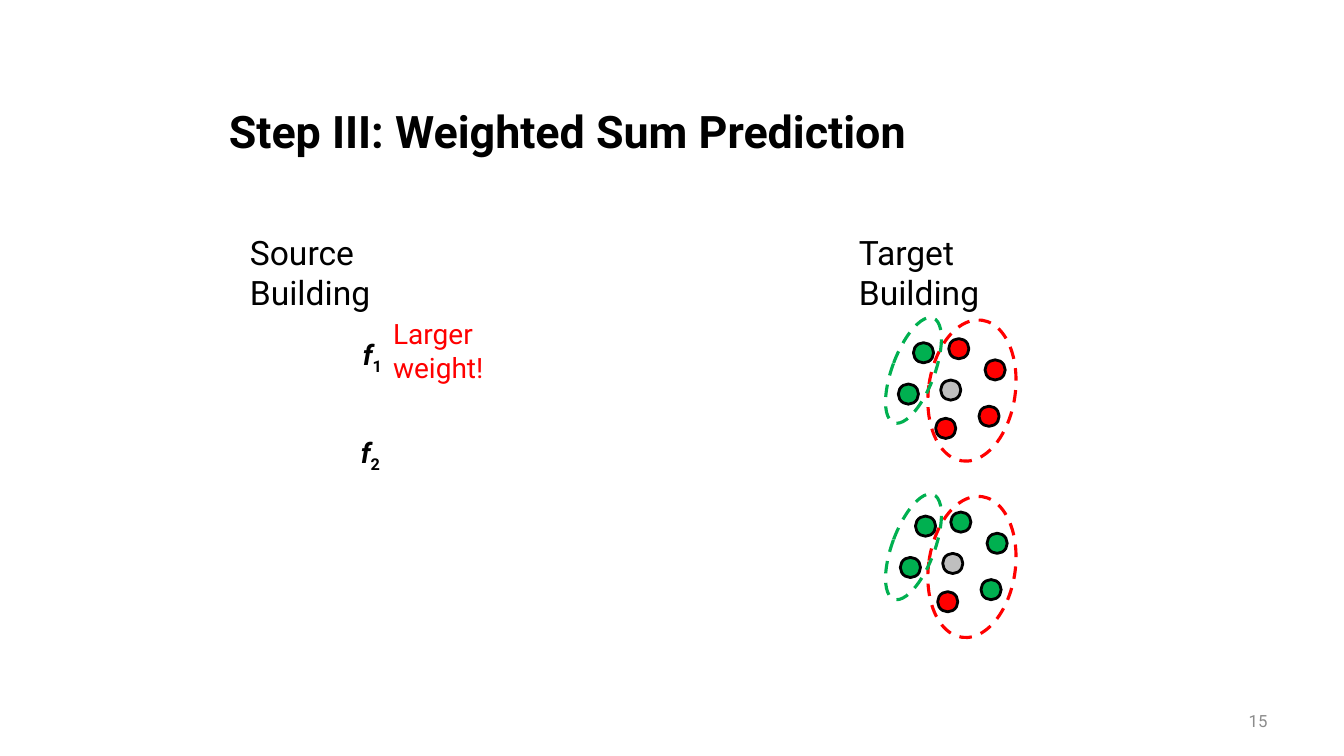
import dataclasses
import pptx
import pptx.util
import pptx.dml.color
import pptx.enum.dml
import pptx.enum.shapes
import pptx.enum.text

Inches = pptx.util.Inches
Pt = pptx.util.Pt
Anchor = pptx.enum.text.MSO_ANCHOR
Align = pptx.enum.text.PP_ALIGN


@dataclasses.dataclass(frozen=True)
class Theme:
    font: str = "Roboto"
    black: str = "000000"
    number_gray: str = "8C8C8C"
    unlabeled: str = "BFBFBF"
    red: str = "FF0000"
    green: str = "00B050"
    title_size: int = 32
    heading_size: int = 24
    label_size: int = 20
    number_size: int = 12
    dot_line: float = 2
    group_line: float = 2.25


THEME = Theme()
DOT_SIZE = 0.2
QUERY_DOT = (0.48, 0.65)
SENSOR_DOTS = [(0.06, 0.69), (0.21, 0.28), (0.56, 0.24),
               (0.86, 0.91), (0.92, 0.45), (0.43, 1.03)]


def rgb(color):
    return pptx.dml.color.RGBColor.from_string(color)


def place(shape, box):
    shape.left, shape.top, shape.width, shape.height = map(Inches, box)


def write(frame, text, size, color=THEME.black, bold=False, italic=False,
          subscript="", align=Align.LEFT, anchor=Anchor.TOP):
    frame.word_wrap = True
    frame.auto_size = pptx.enum.text.MSO_AUTO_SIZE.NONE
    frame.vertical_anchor = anchor
    para = frame.paragraphs[0]
    para.alignment = align
    for part, slanted, baseline in ((text, italic, 0), (subscript, False, -25000)):
        if not part:
            continue
        span = para.add_run()
        span.text = part
        span.font.name = THEME.font
        span.font.size = Pt(size)
        span.font.bold = bold
        span.font.italic = slanted
        span.font.color.rgb = rgb(color)
        if baseline:
            span.font._element.set("baseline", str(baseline))


def add_text(page, box, text, size, **style):
    write(page.shapes.add_textbox(*map(Inches, box)).text_frame, text, size, **style)


def add_ellipse(page, box, line, width, fill=None, rotation=0, dashed=False):
    ellipse = page.shapes.add_shape(
        pptx.enum.shapes.MSO_SHAPE.OVAL, *map(Inches, box))
    ellipse.shadow.inherit = False
    ellipse.rotation = rotation
    ellipse.line.color.rgb = rgb(line)
    ellipse.line.width = Pt(width)
    if dashed:
        ellipse.line.dash_style = pptx.enum.dml.MSO_LINE.DASH
    if fill:
        ellipse.fill.solid()
        ellipse.fill.fore_color.rgb = rgb(fill)
    else:
        ellipse.fill.background()


def add_title(page, box):
    place(page.shapes.title, box)
    write(page.shapes.title.text_frame, "Step III: Weighted Sum Prediction",
          THEME.title_size, bold=True, anchor=Anchor.MIDDLE)


def add_source(page, box):
    left, top, width, height = box
    add_text(page, (left, top, width, 0.5), "Source Building", THEME.heading_size)
    add_text(page, (left + 1.42, top + 0.84, 1.82, 0.44), "Larger weight!",
             THEME.label_size, color=THEME.red)
    for index, (x, y) in {"1": (1.12, 1.05), "2": (1.1, 2.02)}.items():
        add_text(page, (left + x, top + y, 0.67, 0.43), "f", THEME.label_size,
                 bold=True, italic=True, subscript=index)


def add_clusters(page, box, colors, dot_shift=(0, 0)):
    left, top, width, height = box

    def add_dot(spot, fill):
        add_ellipse(page, (left + spot[0] + dot_shift[0], top + spot[1] + dot_shift[1],
                           DOT_SIZE, DOT_SIZE), THEME.black, THEME.dot_line, fill=fill)

    add_dot(QUERY_DOT, THEME.unlabeled)
    add_ellipse(page, (left + 0.36, top + 0.05, 0.86, 1.41), THEME.red,
                THEME.group_line, rotation=8.2, dashed=True)
    add_ellipse(page, (left, top, 0.42, 1.11), THEME.green,
                THEME.group_line, rotation=20.6, dashed=True)
    for spot, color in zip(SENSOR_DOTS, colors):
        add_dot(spot, color)


def add_target(page, box):
    left, top, width, height = box
    red, green = THEME.red, THEME.green
    add_text(page, (left, top, width, 0.5), "Target Building", THEME.heading_size)
    add_clusters(page, (left + 0.43, top + 0.87, 1.22, 1.46),
                 [green] * 2 + [red] * 4)
    add_clusters(page, (left + 0.43, top + 2.62, 1.22, 1.46),
                 [green] * 5 + [red], dot_shift=(0.02, -0.03))


def main():
    deck = pptx.Presentation()
    deck.slide_width, deck.slide_height = Inches(13.33), Inches(7.5)
    page = deck.slides.add_slide(deck.slide_layouts.get_by_name("Title Only"))
    add_title(page, (2.17, 0.67, 10.25, 1.25))
    add_source(page, (2.38, 2.25, 2.29, 2.45))
    add_target(page, (8.42, 2.25, 2.2, 4.08))
    add_text(page, (9.56, 6.95, 3.11, 0.4), "15", THEME.number_size,
             color=THEME.number_gray, align=Align.RIGHT, anchor=Anchor.MIDDLE)
    deck.save("out.pptx")


if __name__ == "__main__":
    main()
